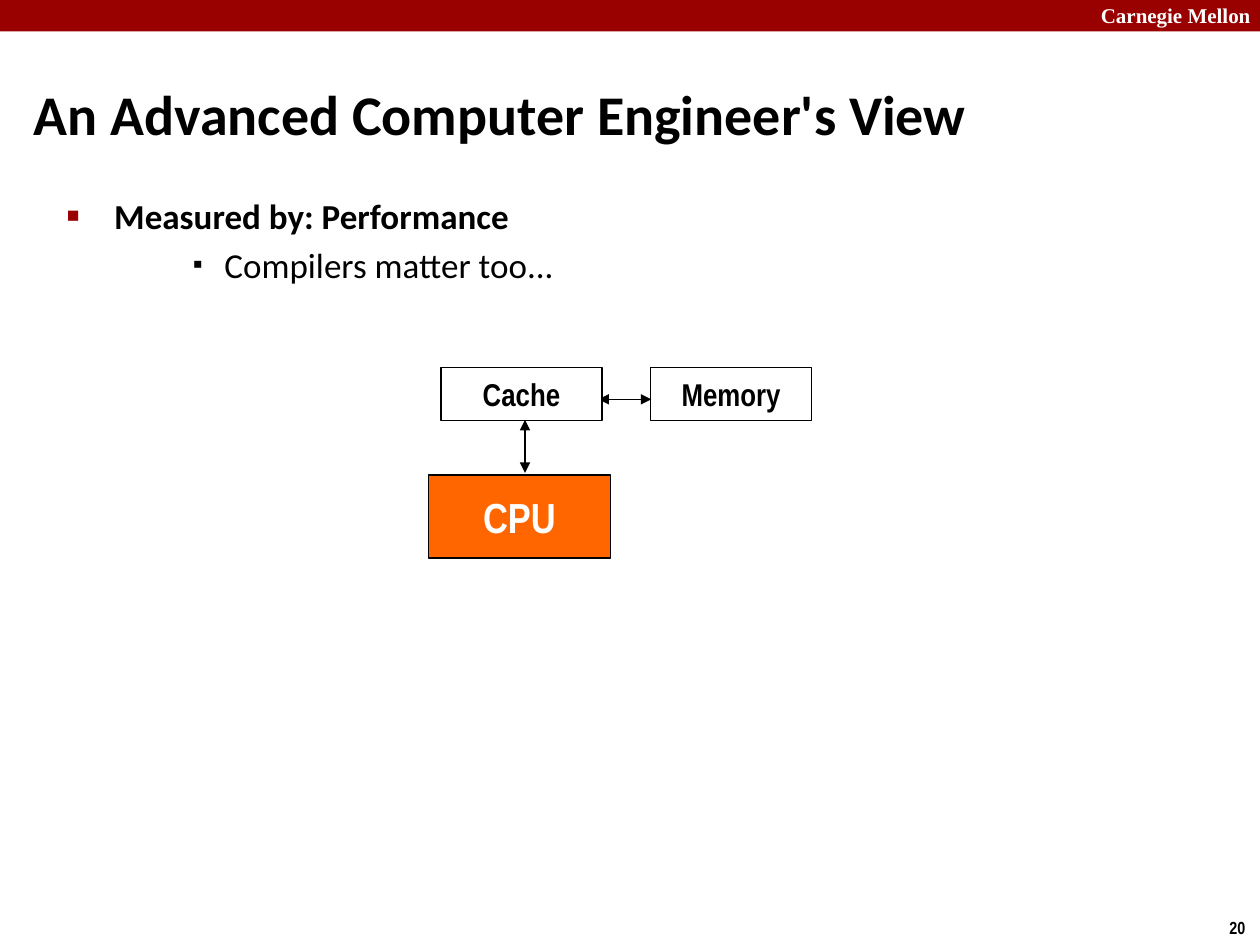
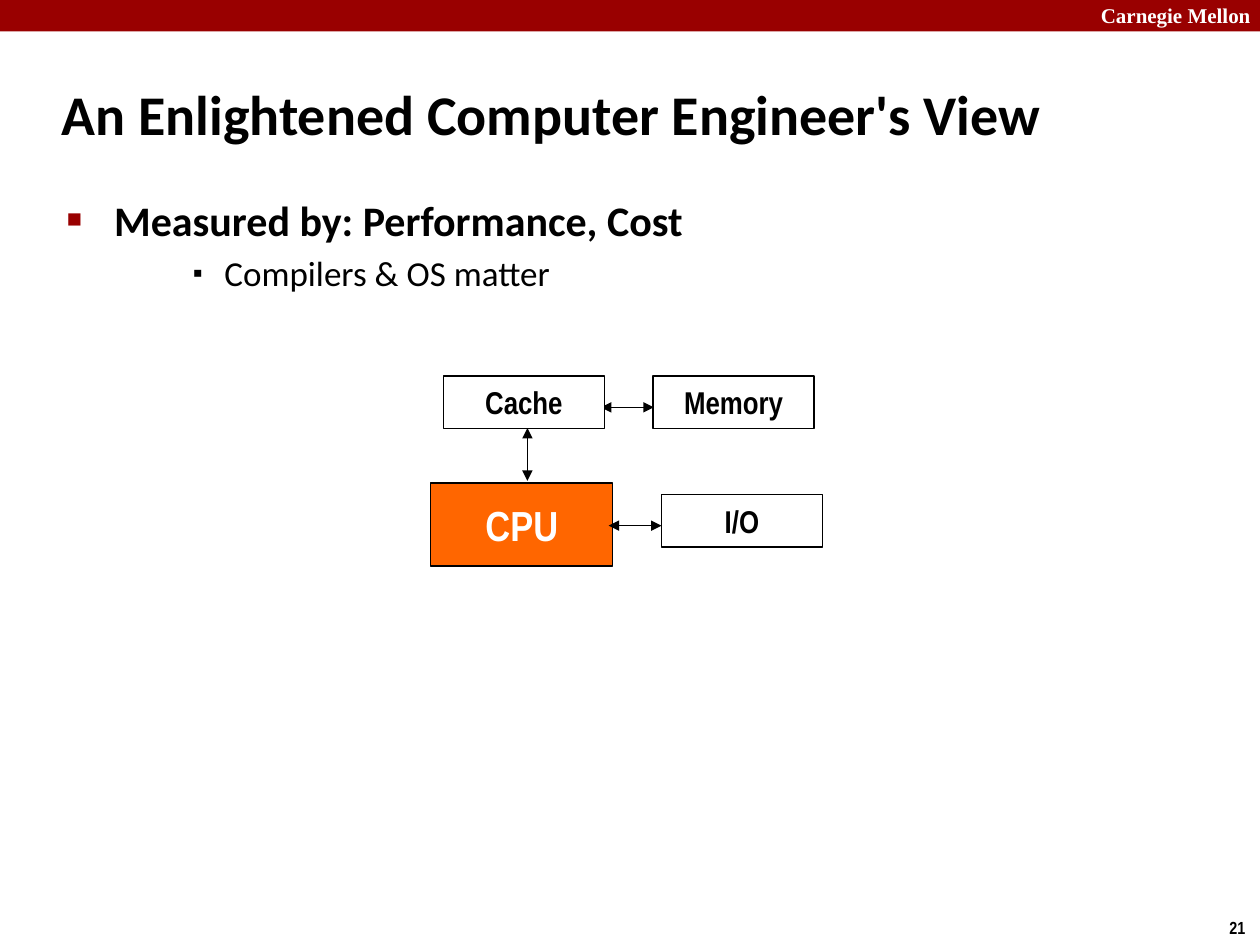
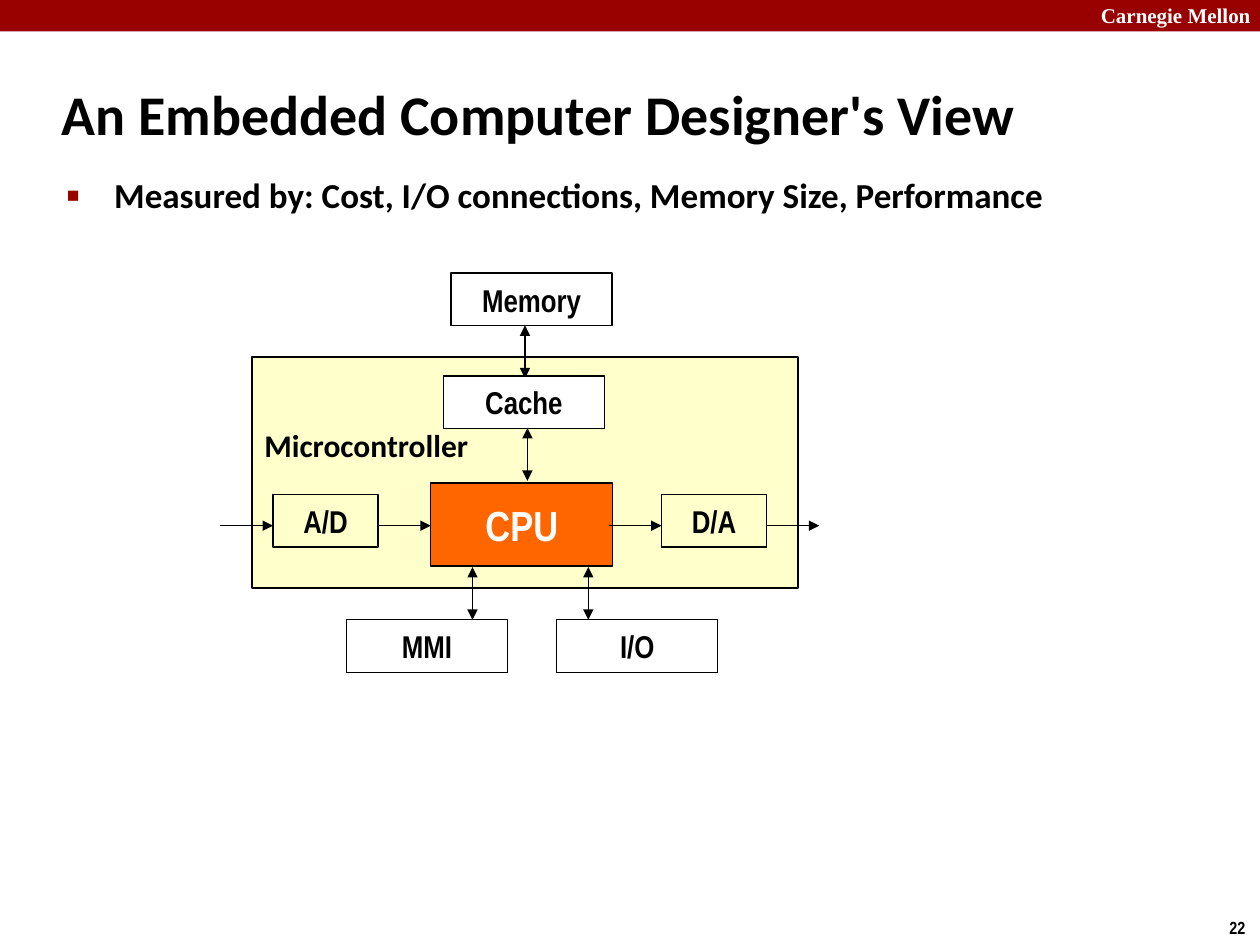
from lxml import etree
from pptx import Presentation
from pptx.dml.color import RGBColor
from pptx.enum.shapes import MSO_CONNECTOR, MSO_SHAPE
from pptx.enum.text import MSO_ANCHOR, MSO_AUTO_SIZE, PP_ALIGN
from pptx.oxml.ns import qn
from pptx.util import Pt

RECTANGLE = MSO_SHAPE.RECTANGLE
STRAIGHT = MSO_CONNECTOR.STRAIGHT
LEFT, CENTER = PP_ALIGN.LEFT, PP_ALIGN.CENTER
TOP, MIDDLE = MSO_ANCHOR.TOP, MSO_ANCHOR.MIDDLE

COLORS = {"red": "990000", "orange": "FF6600", "cream": "FFFFCC",
          "white": "FFFFFF", "black": "000000"}
BODY_FONT, DIAGRAM_FONT, BAND_FONT = "Calibri", "Arial Narrow", "Times New Roman"

# Box styles: width, height, fill, text colour, text size
BOX_STYLES = {
    "cpu": (104, 47.5, "orange", "white", 24),
    "solid": (92, 30.2, "white", "black", 18),
    "open": (92, 30.2, None, "black", 18),
    "small": (60, 30.2, None, "black", 18),
    "frame": (312, 132, "cream", "black", 18),
}
# Bullet levels: left margin, hanging indent, character, percent, colour
BULLETS = [(27, 27, "■", 60, "red"), (90, 18, "▪", 80, "black")]
ARROW_LENGTH = 30.2

# Diagram parts, placed relative to the top left corner of the CPU.
# Boxes: style, text, x, y.  Arrows: "both" or "one", direction, x, y.
CPU = ("cpu", "CPU", 0, 0)
CACHE = ("solid", "Cache", 7.2, -61.2)
MEMORY = ("open", "Memory", 127, -61.2)
CACHE_TO_MEMORY = ("both", "right", 97.2, -43.2)
CACHE_TO_CPU = ("both", "down", 55.2, -31.4)

SLIDES = [
    {
        "number": "20",
        "title": "An Advanced Computer Engineer's View",
        "title_at": (12.2, 34.6, 720, 59.8),
        "body_at": (31, 107.3, 622, 391.7),
        "items": [(0, "Measured by: Performance", 20),
                  (1, "Compilers matter too...", 20)],
        "cpu_at": (244.8, 271.4),
        "parts": [CPU, CACHE_TO_MEMORY, CACHE, MEMORY, CACHE_TO_CPU],
    },
    {
        "number": "21",
        "title": "An Enlightened Computer Engineer's View",
        "title_at": (28, 34.6, 597.6, 59.8),
        "body_at": (31, 107.3, 622, 391.7),
        "items": [(0, "Measured by: Performance, Cost", 24),
                  (1, "Compilers & OS matter", 20)],
        "cpu_at": (246.2, 276),
        "parts": [CACHE_TO_MEMORY, CPU, CACHE, MEMORY, CACHE_TO_CPU,
                  ("both", "right", 101.6, 24.4),
                  ("open", "I/O", 131.8, 6.4)],
    },
    {
        "number": "22",
        "title": "An Embedded Computer Designer's View",
        "title_at": (28, 34.6, 597.6, 59.8),
        "body_at": (31, 95.8, 671, 391.7),
        "items": [(0, "Measured by: Cost, I/O connections, Memory Size, "
                      "Performance", 20)],
        "cpu_at": (246.2, 276),
        "parts": [("frame", "", -102.2, -72),
                  ("label", "Microcontroller", -102.2, -36.2),
                  ("both", "down", 53.8, -90), CPU, CACHE,
                  ("open", "Memory", 11.6, -120), CACHE_TO_CPU,
                  ("both", "down", 90, 48),
                  ("open", "I/O", 72, 78.2),
                  ("both", "down", 23.8, 48),
                  ("open", "MMI", -48.2, 78.2),
                  ("one", "right", 101.6, 24.4),
                  ("small", "D/A", 131.8, 6.4),
                  ("one", "right", 191.8, 24.4),
                  ("one", "right", -30.2, 24.4),
                  ("small", "A/D", -90.2, 6.4),
                  ("one", "right", -120.4, 24.4)],
    },
]


def color(name):
    return RGBColor.from_string(COLORS[name])


def points(values):
    return [Pt(value) for value in values]


def add_span(para, text, size, font, ink="black", bold=True):
    span = para.add_run()
    span.text = text
    span.font.size, span.font.name, span.font.bold = Pt(size), font, bold
    span.font.color.rgb = color(ink)


def set_frame(shape, anchor, wrap=True):
    frame = shape.text_frame
    frame.auto_size = MSO_AUTO_SIZE.NONE
    frame.vertical_anchor, frame.word_wrap = anchor, wrap
    return frame


def set_indent(para, left, hanging):
    properties = para._p.get_or_add_pPr()
    properties.set("marL", str(Pt(left)))
    properties.set("indent", str(-Pt(hanging)))
    return properties


def add_label(page, text, at, size, font, ink="black", wrap=False):
    box = page.shapes.add_textbox(*points(at))
    add_span(set_frame(box, TOP, wrap).paragraphs[0], text, size, font, ink)


def add_rectangle(page, at, fill, outlined=True):
    shape = page.shapes.add_shape(RECTANGLE, *points(at))
    shape.shadow.inherit = False
    if fill:
        shape.fill.solid()
        shape.fill.fore_color.rgb = color(fill)
    else:
        shape.fill.background()
    if outlined:
        shape.line.color.rgb = color("black")
        shape.line.width = Pt(0.75)
    else:
        shape.line.fill.background()
    return shape


def add_box(page, style, text, x, y):
    width, height, fill, ink, size = BOX_STYLES[style]
    shape = add_rectangle(page, (x, y, width, height), fill)
    if text:
        para = set_frame(shape, MIDDLE, wrap=False).paragraphs[0]
        para.alignment = CENTER
        add_span(para, text, size, DIAGRAM_FONT, ink)


def add_arrow(page, heads, direction, x, y):
    end_x = x + ARROW_LENGTH * (direction == "right")
    end_y = y + ARROW_LENGTH * (direction == "down")
    arrow = page.shapes.add_connector(STRAIGHT, *points((x, y, end_x, end_y)))
    arrow.line.color.rgb = color("black")
    arrow.line.width = Pt(0.75)
    line = arrow.line._get_or_add_ln()
    for end in ("headEnd", "tailEnd") if heads == "both" else ("tailEnd",):
        etree.SubElement(line, qn("a:" + end), type="triangle")
    etree.SubElement(arrow._element.spPr, qn("a:effectLst"))


def add_bullet(properties, character, percent, ink):
    tint = etree.SubElement(properties, qn("a:buClr"))
    etree.SubElement(tint, qn("a:srgbClr"), val=COLORS[ink])
    etree.SubElement(properties, qn("a:buSzPct"), val=str(percent * 1000))
    etree.SubElement(properties, qn("a:buChar"), char=character)


def place(shape, at):
    shape.left, shape.top, shape.width, shape.height = points(at)


def add_band_and_number(page, number):
    add_rectangle(page, (0, 0, 720, 18), "red", outlined=False)
    add_label(page, "Carnegie Mellon", (622, -2.2, 103, 21.6), 12,
              BAND_FONT, "white", wrap=True)
    add_label(page, number, (695.5, 520.5, 24.5, 19.4), 10, DIAGRAM_FONT)


def fill_title(page, text, at):
    title = page.shapes.title
    place(title, at)
    para = set_frame(title, MIDDLE).paragraphs[0]
    para.alignment = LEFT
    set_indent(para, 9, 9)
    add_span(para, text, 32, BODY_FONT)


def fill_body(page, items, at):
    body = page.placeholders[1]
    place(body, at)
    frame = set_frame(body, TOP)
    for index, (level, text, size) in enumerate(items):
        para = frame.add_paragraph() if index else frame.paragraphs[0]
        para.level = level
        para.space_before = Pt(4 if index else 0)
        left, hanging, *bullet = BULLETS[level]
        add_bullet(set_indent(para, left, hanging), *bullet)
        add_span(para, text, size, BODY_FONT, bold=level == 0)


def add_diagram(page, origin, parts):
    for kind, name, dx, dy in parts:
        x, y = origin[0] + dx, origin[1] + dy
        if kind in BOX_STYLES:
            add_box(page, kind, name, x, y)
        elif kind == "label":
            add_label(page, name, (x, y, 133, 28.8), 18, BODY_FONT)
        else:
            add_arrow(page, kind, name, x, y)


def main():
    deck = Presentation()
    deck.slide_width, deck.slide_height = Pt(720), Pt(540)
    for content in SLIDES:
        page = deck.slides.add_slide(deck.slide_layouts[1])
        add_band_and_number(page, content["number"])
        fill_title(page, content["title"], content["title_at"])
        fill_body(page, content["items"], content["body_at"])
        add_diagram(page, content["cpu_at"], content["parts"])
    deck.save("out.pptx")


if __name__ == "__main__":
    main()
